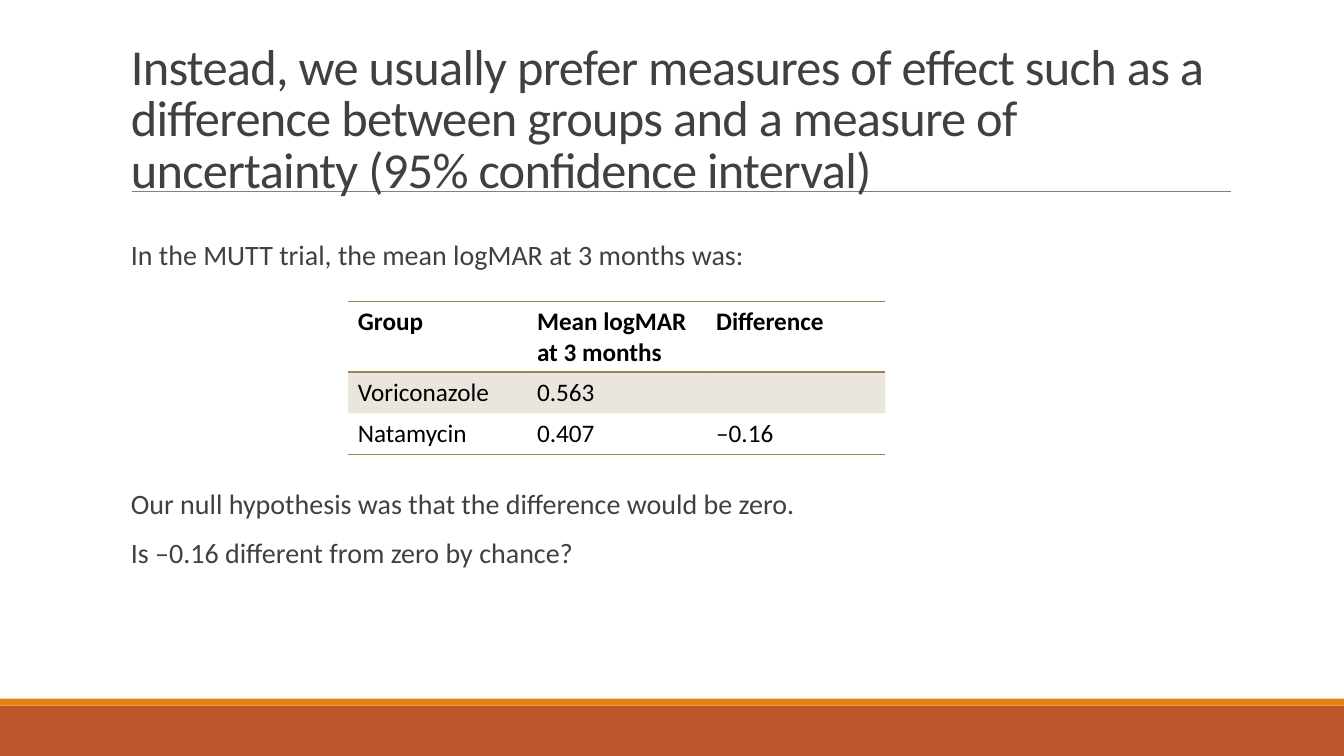
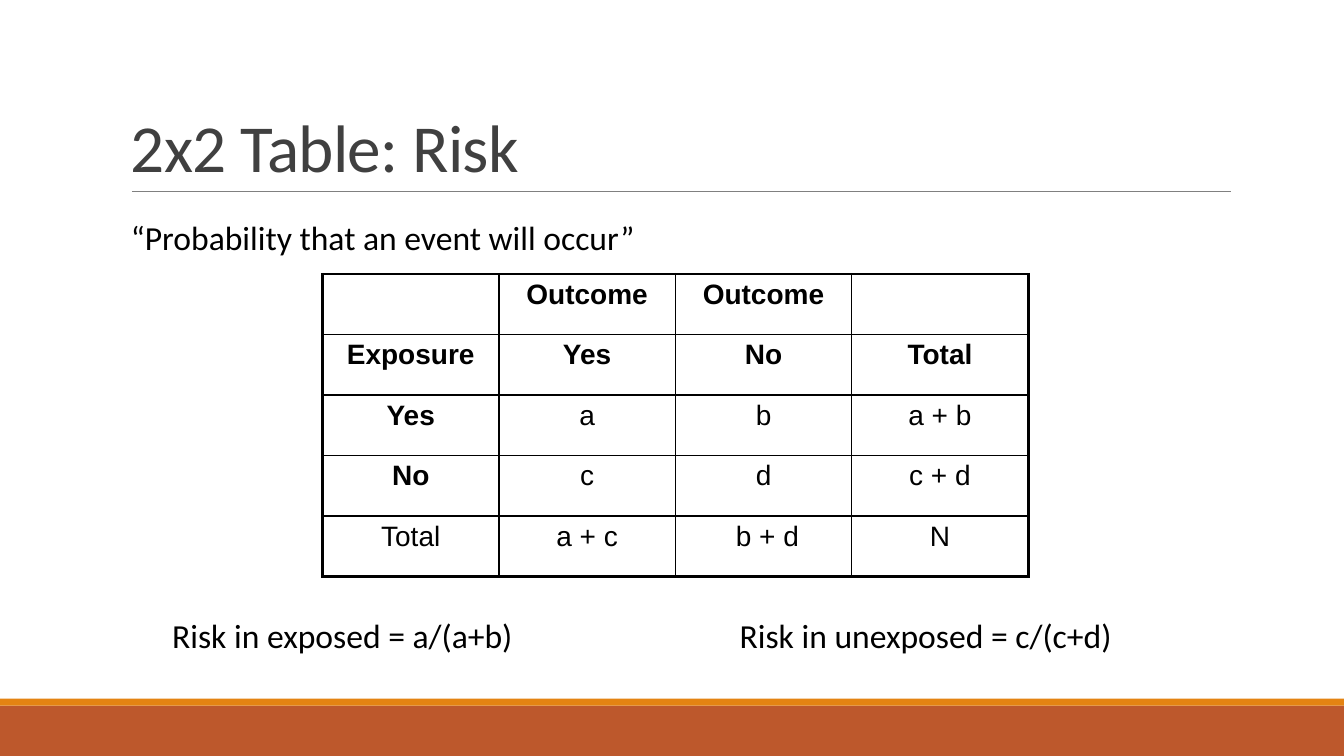
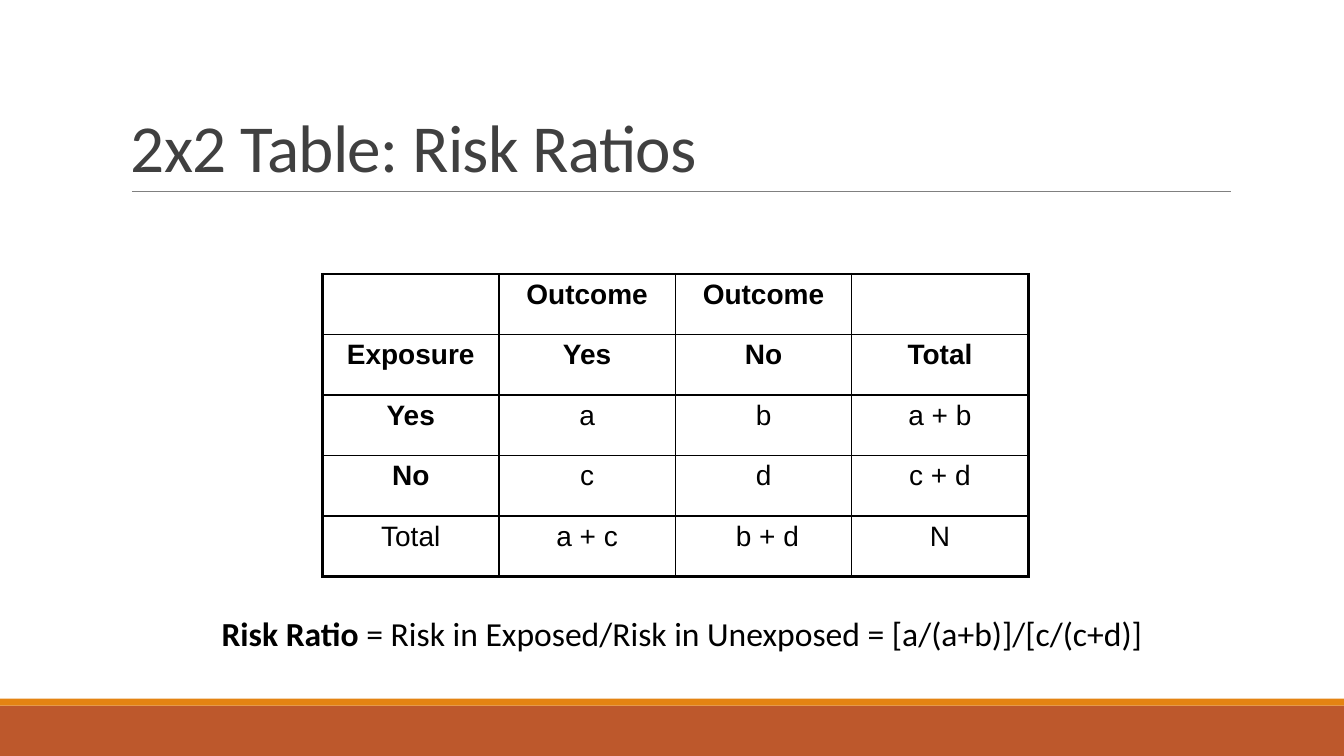
from lxml import etree
from pptx import Presentation
from pptx.dml.color import RGBColor
from pptx.enum import shapes, text
from pptx.oxml import ns
from pptx.util import Pt

WIDE, HIGH = 960, 540
RUST = RGBColor(0xBD, 0x58, 0x2C)
GOLD = RGBColor(0xE4, 0x83, 0x12)
GREY = RGBColor(0x80, 0x80, 0x80)
DARK = RGBColor(0x40, 0x40, 0x40)
BLACK = RGBColor(0, 0, 0)
TAN = RGBColor(0x9B, 0x83, 0x57)
SANS, ARIAL = "Calibri", "Arial"
LEFT, BODY = 86.4, 792  # text column: left edge and width

RISK = [
    ["", "Outcome", "Outcome", ""],
    ["Exposure", "Yes", "No", "Total"],
    ["Yes", "a", "b", "a + b"],
    ["No", "c", "d", "c + d"],
    ["Total", "a + c", " b + d", "N"],
]
MEANS = [
    ["Group", "Mean logMAR\nat 3 months", "Difference"],
    ["Voriconazole", "0.563", ""],
    ["Natamycin", "0.407", "–0.16"],
]


def pts(*nums):
    return [Pt(n) for n in nums]


def sub(node, tag, **atts):
    return etree.SubElement(node, ns.qn(tag), atts)


def add_run(para, words, size, color=BLACK, bold=False, face=SANS):
    run = para.add_run()
    run.text = words
    font = run.font
    font.name, font.size, font.bold = face, Pt(size), bold
    font.color.rgb = color
    return run


def add_box(slide, box, wrap=False):
    frame = slide.shapes.add_textbox(*pts(*box)).text_frame
    frame.word_wrap = wrap
    return frame


# Parts shared by all slides

def add_band(slide, top, high, color):
    band = slide.shapes.add_shape(
        shapes.MSO_SHAPE.RECTANGLE, *pts(0, top, WIDE, high))
    band.shadow.inherit = False
    band.fill.solid()
    band.fill.fore_color.rgb = color
    band.line.fill.background()


def add_base(deck, title, size=48, high=114.5):
    slide = deck.slides.add_slide(deck.slide_layouts[6])
    add_band(slide, 504, 36, RUST)
    add_band(slide, 499, 5, GOLD)
    rule = slide.shapes.add_connector(
        shapes.MSO_CONNECTOR.STRAIGHT, *pts(94.3, 136.8, 879.1, 136.8))
    rule.line.color.rgb = GREY
    rule.line.width = Pt(0.5)
    sub(rule._element.spPr, "a:effectLst")
    # Title stands on the bottom of its box
    frame = add_box(slide, (LEFT, 22.3, BODY, high), True)
    frame.vertical_anchor = text.MSO_ANCHOR.BOTTOM
    para = frame.paragraphs[0]
    para.line_spacing = 0.85
    run = add_run(para, title, size, DARK)
    run._r.get_or_add_rPr().set("spc", "-50")
    return slide


def add_body(slide, top, high, lines):
    frame = add_box(slide, (LEFT, top, BODY, high), True)
    for i, words in enumerate(lines):
        para = frame.add_paragraph() if i else frame.paragraphs[0]
        para.line_spacing = 0.9
        para.space_before = Pt(12 if i else 0)
        para.space_after = Pt(2)
        add_run(para, words, 20, DARK)


def add_note(slide, box, *parts):
    para = add_box(slide, box).paragraphs[0]
    for words, bold in parts:
        add_run(para, words, 24, bold=bold)


# Tables

def set_edge(cell, widths, color):
    """Widths run left, right, top, bottom; 0 means no line."""
    props = cell._tc.get_or_add_tcPr()
    for i, (side, width) in enumerate(zip("LRTB", widths)):
        line = etree.Element(ns.qn("a:ln" + side), w=str(Pt(width)))
        if width:
            fill = sub(line, "a:solidFill")
            sub(fill, "a:srgbClr", val=str(color))
        else:
            sub(line, "a:noFill")
        props.insert(i, line)


def add_grid(slide, box, rows, highs):
    count = len(rows[0])
    table = slide.shapes.add_table(len(rows), count, *pts(*box)).table
    table.first_row = table.horz_banding = False
    for col in table.columns:
        col.width = Pt(box[2] / count)
    for row, high in zip(table.rows, highs):
        row.height = Pt(high)
    for cell in table.iter_cells():
        cell.fill.background()
    return table


def fill_cell(cell, words, size, bold, face=SANS, align=None):
    for i, line in enumerate(words.split("\n")):
        frame = cell.text_frame
        para = frame.add_paragraph() if i else frame.paragraphs[0]
        para.alignment = align
        if line:
            add_run(para, line, size, bold=bold, face=face)
        else:
            para.font.size = Pt(size)


def add_means(slide, box):
    table = add_grid(slide, box, MEANS, [45.2, 29.5, 29.5])
    for r, row in enumerate(MEANS):
        for c, words in enumerate(row):
            cell = table.cell(r, c)
            fill_cell(cell, words, 18, r == 0)
            if r == 1:
                cell.fill.solid()
                cell.fill.fore_color.rgb = TAN
                tint = cell._tc.tcPr.find(".//" + ns.qn("a:srgbClr"))
                sub(tint, "a:alpha", val="20000")
            set_edge(cell, (0, 0, int(r < 2), int(r != 1)), TAN)


def add_risk(slide, box):
    last, end = len(RISK) - 1, len(RISK[0]) - 1
    table = add_grid(slide, box, RISK, [box[3] / len(RISK)] * len(RISK))
    for r, row in enumerate(RISK):
        for c, words in enumerate(row):
            cell = table.cell(r, c)
            bold = r < 2 or (c == 0 and r < last)
            fill_cell(cell, words, 20, bold, ARIAL, text.PP_ALIGN.CENTER)
            outer = (c == 0, c == end, r == 0, r == last)
            set_edge(cell, [2.25 if edge else 1 for edge in outer], BLACK)


# Slides

def add_effect(deck):
    slide = add_base(
        deck, "Instead, we usually prefer measures of effect such as a "
        "difference between groups and a measure of uncertainty "
        "(95% confidence interval)", 36, 123.1)
    add_body(slide, 168.5, 32,
             ["In the MUTT trial, the mean logMAR at 3 months was:"])
    add_body(slide, 346.3, 70,
             ["Our null hypothesis was that the difference would be zero.",
              "Is –0.16 different from zero by chance?"])
    add_means(slide, (248.4, 215.3, 384, 104.2))


def add_two(deck, title, notes):
    slide = add_base(deck, title)
    add_risk(slide, (230.4, 195.8, 504, 216))
    for left, top, wide, parts in notes:
        add_note(slide, (left, top, wide, 36), *parts)


def main():
    deck = Presentation()
    deck.slide_width, deck.slide_height = pts(WIDE, HIGH)
    add_effect(deck)
    add_two(deck, "2x2 Table: Risk", [
        (115.9, 435.6, 259.9, [("Risk in exposed = a/(a+b)", False)]),
        (521.3, 435.6, 283, [("Risk in unexposed = c/(c+d)", False)]),
        (LEFT, 151.2, 377.3,
         [("“Probability that an event will occur”", False)]),
    ])
    add_two(deck, "2x2 Table: Risk Ratios", [
        (151.2, 434.2, 682.6, [
            ("Risk Ratio ", True),
            ("= Risk in Exposed/Risk in Unexposed = [a/(a+b)]/[c/(c+d)]",
             False)]),
    ])
    deck.save("out.pptx")


if __name__ == "__main__":
    main()
